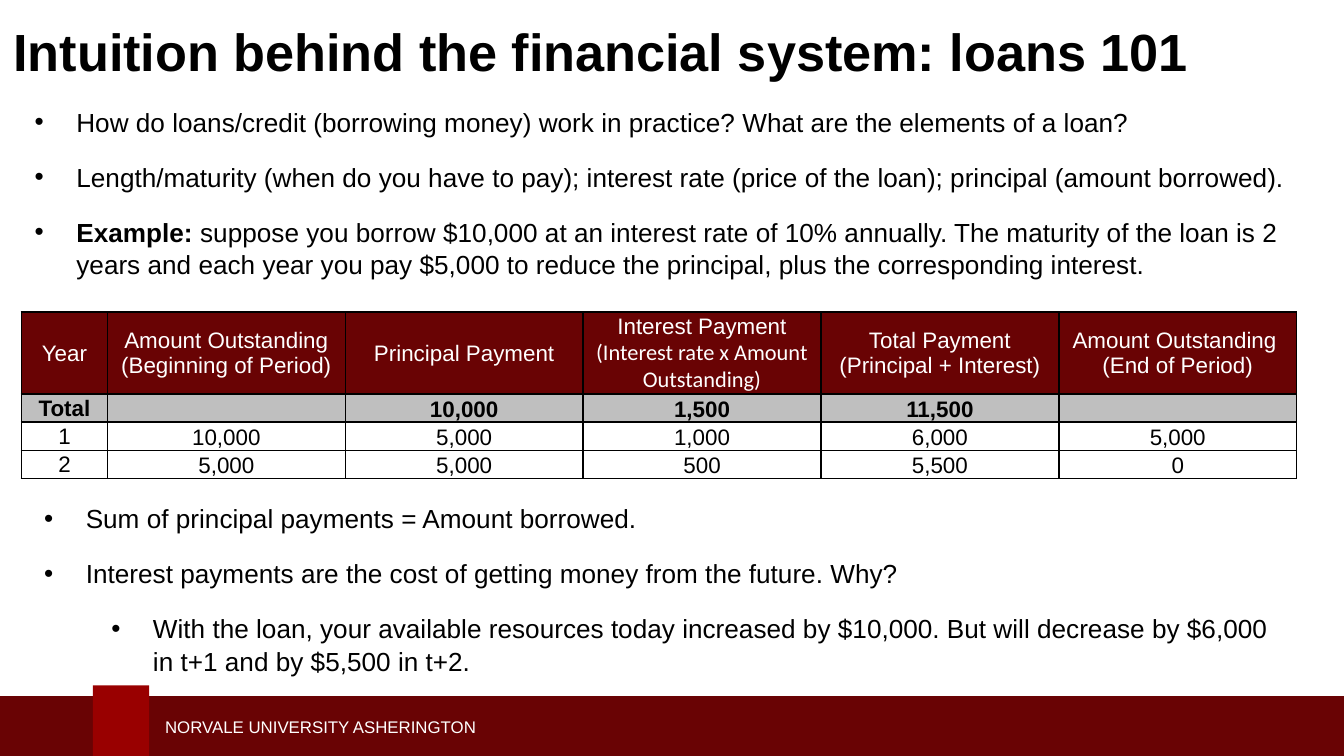
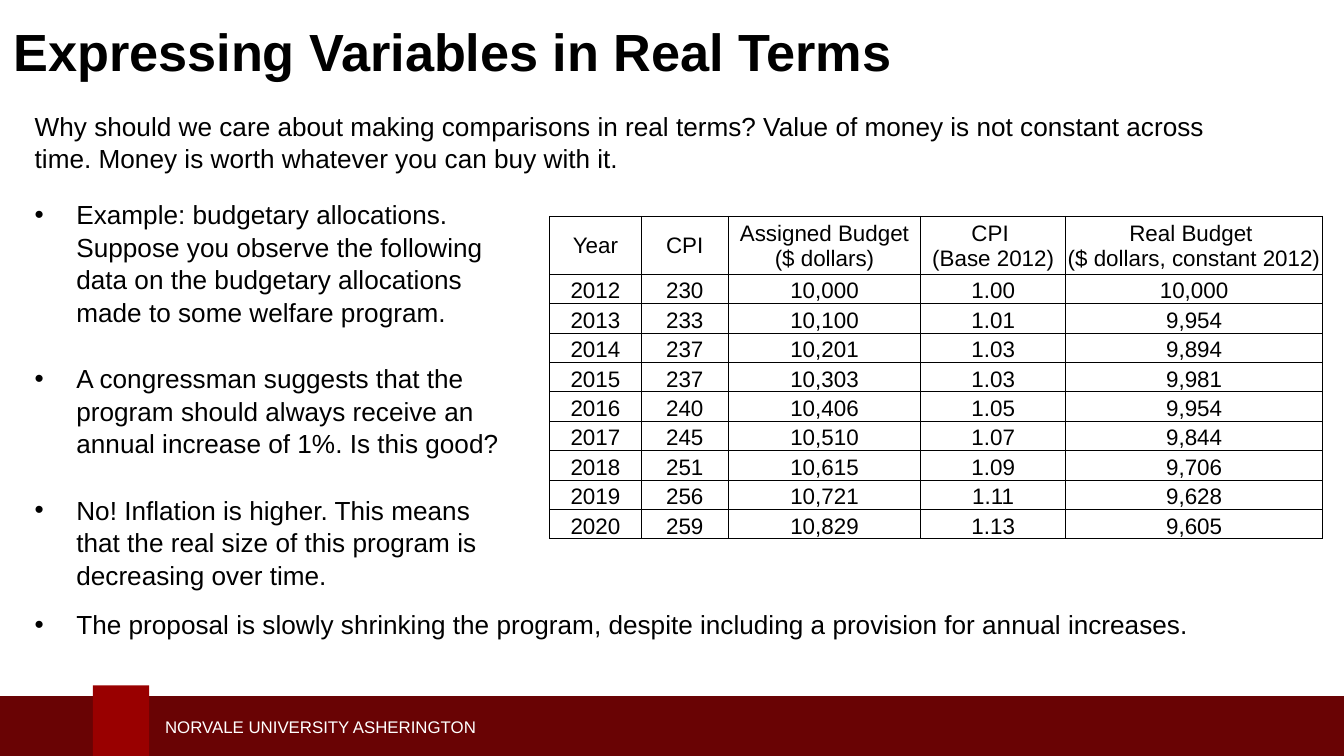
from itertools import repeat

from lxml import etree
from pptx import Presentation
from pptx.dml.color import RGBColor
from pptx.enum.shapes import MSO_SHAPE
from pptx.enum.text import MSO_ANCHOR, MSO_AUTO_SIZE, PP_ALIGN
from pptx.oxml.ns import qn
from pptx.util import Inches, Pt

RECT = MSO_SHAPE.RECTANGLE
MIDDLE, BOTTOM = MSO_ANCHOR.MIDDLE, MSO_ANCHOR.BOTTOM
LEFT, CENTER = PP_ALIGN.LEFT, PP_ALIGN.CENTER
FIXED, GROW = MSO_AUTO_SIZE.NONE, MSO_AUTO_SIZE.SHAPE_TO_FIT_TEXT

COLS, ROWS = 100, 56.25  # square grid cells of 0.1 inch
CRIMSON, RED, GRAY, BLACK, WHITE = "690304", "990000", "BFBFBF", "000000", "FFFFFF"
PLAIN_TABLE = "{2D5ABB26-0587-4C30-8999-92F81FD0307C}"


def grid(n):
    return Inches(n / 10)


def rgb(code):
    return RGBColor.from_string(code)


def set_bullet(p, level):
    pPr = p._p.get_or_add_pPr()
    pPr.set("marL", str(grid(3.1 + 5 * level)))
    pPr.set("indent", str(-grid(3.1)))
    if level:
        pPr.set("lvl", str(level))
    etree.SubElement(pPr, qn("a:buFont"), typeface="Arial")
    etree.SubElement(pPr, qn("a:buChar"), char="•")


def set_borders(cell, width):
    tcPr = cell._tc.get_or_add_tcPr()
    for i, side in enumerate(("lnL", "lnR", "lnT", "lnB")):
        ln = etree.Element(qn(f"a:{side}"), w=str(Pt(width)))
        fill = etree.SubElement(ln, qn("a:solidFill"))
        etree.SubElement(fill, qn("a:srgbClr"), val=BLACK)
        tcPr.insert(i, ln)


def write(tf, paragraphs, size=14, color=BLACK, bold=False, font="Arial", align=LEFT,
          before=0, after=0, spacing=None, levels=None):
    """Fill a text frame; a paragraph is a string or a list of (text, font overrides)."""
    tf.word_wrap = True
    for i, (runs, level) in enumerate(zip(paragraphs, levels or repeat(None))):
        p = tf.paragraphs[0] if i == 0 else tf.add_paragraph()
        p.alignment = align
        p.space_before, p.space_after = Pt(before), Pt(after)
        if spacing:
            p.line_spacing = spacing
        if level is not None:
            set_bullet(p, level)
        for text, own in [(runs, {})] if isinstance(runs, str) else runs:
            r = p.add_run()
            r.text = text
            r.font.size = Pt(size)
            r.font.bold = own.get("bold", bold)
            r.font.name = own.get("font", font)
            r.font.color.rgb = rgb(color)


class Deck:
    def __init__(self):
        self.prs = Presentation()
        self.prs.slide_width, self.prs.slide_height = grid(COLS), grid(ROWS)
        self.slide = None

    def add_slide(self, title):
        self.slide = self.prs.slides.add_slide(self.prs.slide_layouts[5])
        self.footer()
        sp = self.slide.shapes.title
        sp.left, sp.top, sp.width, sp.height = map(grid, (0, 0, COLS, 7.6))
        tf = sp.text_frame
        tf.vertical_anchor, tf.auto_size = MIDDLE, FIXED
        write(tf, [title], size=28, bold=True)

    def footer(self):
        self.block(0, 51.8, COLS, ROWS - 51.8, CRIMSON)
        self.block(6.9, 51, 4.2, ROWS - 51, RED)
        tf = self.box(11.3, 52.8, 39.5, 2.5)
        tf.vertical_anchor = MIDDLE
        write(tf, ["NORVALE UNIVERSITY ASHERINGTON"], size=9, color=WHITE)

    def block(self, x, y, w, h, color):
        sp = self.slide.shapes.add_shape(RECT, *map(grid, (x, y, w, h)))
        sp.shadow.inherit = False
        sp.fill.solid()
        sp.fill.fore_color.rgb = rgb(color)
        sp.line.fill.background()

    def box(self, x, y, w, h):
        tf = self.slide.shapes.add_textbox(*map(grid, (x, y, w, h))).text_frame
        tf.auto_size = GROW
        return tf

    def body(self, x, y, w, h, paragraphs, before=6, levels=None):
        write(self.box(x, y, w, h), paragraphs, before=before, after=6,
              spacing=1.04, levels=levels)

    def table(self, x, y, widths, heights, rows, line, styles=None, first_anchor=BOTTOM):
        """Draw a table; styles maps a row number to (fill, text colour, bold)."""
        frame = self.slide.shapes.add_table(
            len(rows), len(widths), *map(grid, (x, y, sum(widths), sum(heights))))
        tbl = frame.table
        tbl.first_row = tbl.horz_banding = False
        tbl._tbl.tblPr.find(qn("a:tableStyleId")).text = PLAIN_TABLE
        for col, width in zip(tbl.columns, widths):
            col.width = grid(width)
        for row, height in zip(tbl.rows, heights):
            row.height = grid(height)
        for i, values in enumerate(rows):
            fill, color, bold = (styles or {}).get(i, (None, BLACK, False))
            for j, value in enumerate(values):
                cell = tbl.cell(i, j)
                cell.margin_left = cell.margin_right = cell.margin_top = grid(0.1)
                cell.margin_bottom = 0
                anchor = first_anchor if j == 0 else BOTTOM
                cell.vertical_anchor = MIDDLE if i == 0 else anchor
                if fill:
                    cell.fill.solid()
                    cell.fill.fore_color.rgb = rgb(fill)
                else:
                    cell.fill.background()
                set_borders(cell, line)
                if value:
                    write(cell.text_frame, [value] if isinstance(value, str) else value,
                          size=12, color=color, bold=bold, align=CENTER)
                else:
                    p = cell.text_frame.paragraphs[0]
                    etree.SubElement(p._p, qn("a:endParaRPr"), sz="1200")


def loans_slide(deck):
    deck.add_slide("Intuition behind the financial system: loans 101")
    deck.body(1.6, 7.3, 96.8, 13.8, [
        "How do loans/credit (borrowing money) work in practice? "
        "What are the elements of a loan?",
        "Length/maturity (when do you have to pay); interest rate (price of the loan); "
        "principal (amount borrowed).",
        [("Example: ", {"bold": True}),
         ("suppose you borrow $10,000 at an interest rate of 10% annually. The maturity of "
          "the loan is 2 years and each year you pay $5,000 to reduce the principal, plus "
          "the corresponding interest.", {})],
    ], levels=(0, 0, 0))
    header = [
        "Year",
        ["Amount Outstanding", "(Beginning of Period)"],
        "Principal Payment",
        ["Interest Payment",
         [("(Interest rate x Amount Outstanding)", {"font": "Calibri"})]],
        ["Total Payment", "(Principal + Interest)"],
        ["Amount Outstanding ", "(End of Period)"],
    ]
    deck.table(1.6, 23.2, [6.4] + [17.7] * 5, [6] + [2.1] * 3, [
        header,
        ["Total", "", "10,000", "1,500", "11,500", ""],
        ["1", "10,000", "5,000", "1,000", "6,000", "5,000"],
        ["2", "5,000", "5,000", "500", "5,500", "0"],
    ], line=1, styles={0: (CRIMSON, WHITE, False), 1: (GRAY, BLACK, True)},
        first_anchor=MIDDLE)
    deck.body(2.3, 36.8, 94.9, 13.8, [
        "Sum of principal payments = Amount borrowed.",
        "Interest payments are the cost of getting money from the future. Why?",
        "With the loan, your available resources today increased by $10,000. "
        "But will decrease by $6,000 in t+1 and by $5,500 in t+2.",
    ], levels=(0, 0, 1))


def real_terms_slide(deck):
    deck.add_slide("Expressing Variables in Real Terms")
    deck.body(1.6, 7.6, 93.8, 5.7, [
        "Why should we care about making comparisons in real terms? Value of money is not "
        "constant across time. Money is worth whatever you can buy with it.",
    ], before=12)
    budgets = [
        ["Year", "CPI", ["Assigned Budget", "($ dollars)"], ["CPI ", "(Base 2012)"],
         ["Real Budget ", "($ dollars, constant 2012)"]],
        ["2012", "230", "10,000", "1.00", "10,000"],
        ["2013", "233", "10,100", "1.01", "9,954"],
        ["2014", "237", "10,201", "1.03", "9,894"],
        ["2015", "237", "10,303", "1.03", "9,981"],
        ["2016", "240", "10,406", "1.05", "9,954"],
        ["2017", "245", "10,510", "1.07", "9,844"],
        ["2018", "251", "10,615", "1.09", "9,706"],
        ["2019", "256", "10,721", "1.11", "9,628"],
        ["2020", "259", "10,829", "1.13", "9,605"],
    ]
    deck.table(40.9, 16.1, [6.8, 6.5, 14.3, 10.8, 19.1], [4.3] + [2.19] * 9,
               budgets, line=0.5)
    deck.body(1.6, 14.2, 37.9, 29.6, [
        "Example: budgetary allocations. Suppose you observe the following data on the "
        "budgetary allocations made to some welfare program.",
        "A congressman suggests that the program should always receive an annual increase "
        "of 1%. Is this good?",
        "No! Inflation is higher. This means that the real size of this program is "
        "decreasing over time.",
    ], before=12, levels=(0, 0, 0))
    deck.body(1.6, 44.7, 93.8, 3.4, [
        "The proposal is slowly shrinking the program, despite including a provision for "
        "annual increases.",
    ], before=12, levels=(0,))


def main():
    deck = Deck()
    loans_slide(deck)
    real_terms_slide(deck)
    deck.prs.save("out.pptx")


if __name__ == "__main__":
    main()
